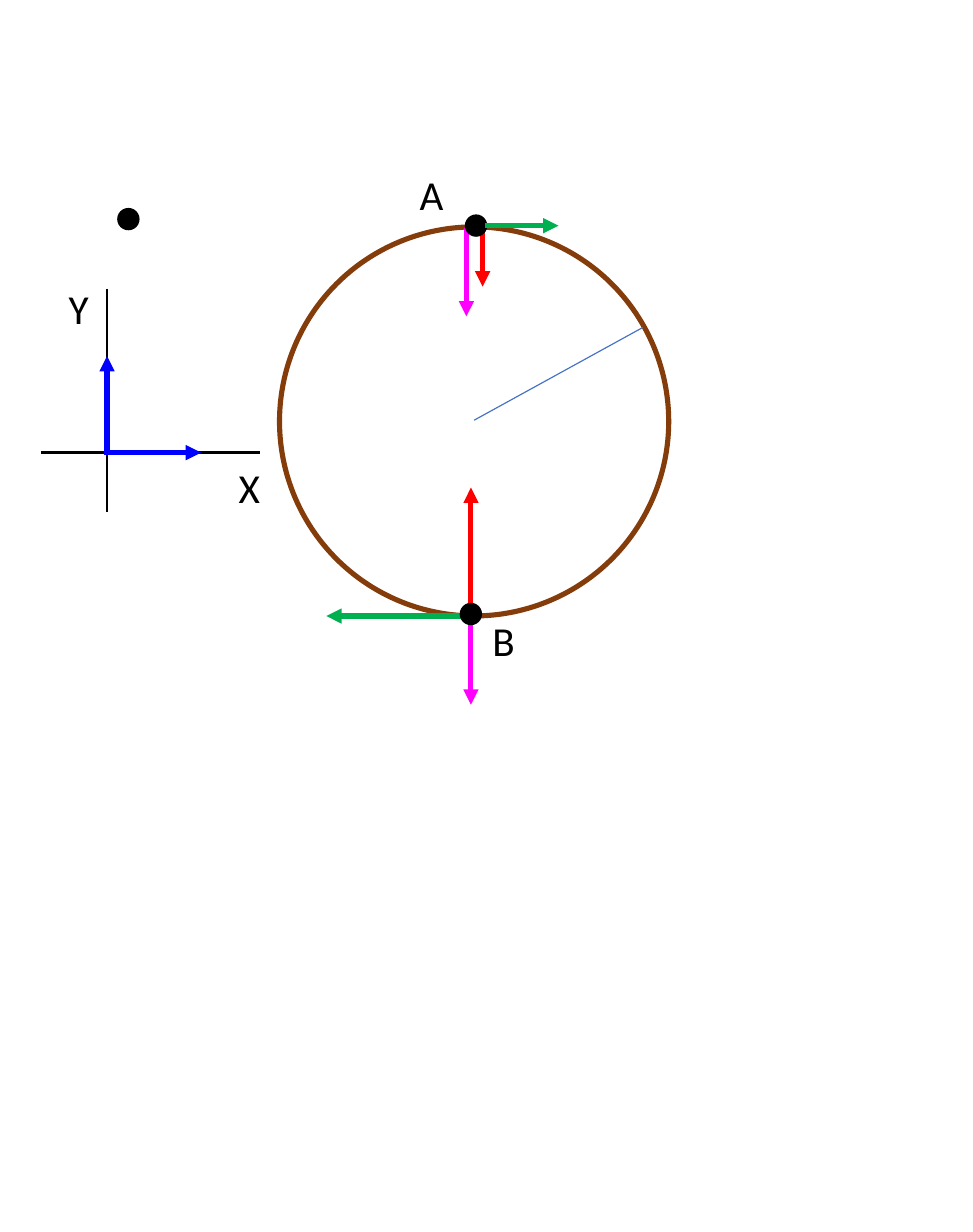
from lxml.etree import SubElement
from pptx import Presentation
from pptx.dml.color import RGBColor
from pptx.enum.shapes import MSO_CONNECTOR as Connector, MSO_SHAPE as Shape
from pptx.enum.text import MSO_AUTO_SIZE as AutoSize
from pptx.oxml.ns import qn
from pptx.util import Cm, Pt

BLACK, BROWN, BLUE = "000000", "843C0B", "0000FF"
WEIGHT, NORMAL, VELOCITY, RADIUS = "FF00FF", "FF0000", "00B050", "4472C4"


def color(value):
    return RGBColor.from_string(value)


def write(shape, text, size=18, font="Calibri", fill=BLACK):
    run = shape.text_frame.paragraphs[0].add_run()
    run.text = text
    run.font.size = Pt(size)
    run.font.name = font
    run.font.color.rgb = color(fill)


class Diagram:
    """Draws on one slide; all lengths are in centimetres."""

    thick, thin = 2.25, 1
    dot_size = 0.31

    def __init__(self, slide):
        self.slide = slide
        self.shapes = slide.shapes

    def start_group(self):
        self.shapes = self.slide.shapes.add_group_shape().shapes

    def end_group(self):
        self.shapes = self.slide.shapes

    def circle(self, center, diameter, line, width, fill=None):
        left, top = (value - diameter / 2 for value in center)
        shape = self.shapes.add_shape(
            Shape.OVAL, Cm(left), Cm(top), Cm(diameter), Cm(diameter))
        shape.shadow.inherit = False
        if fill:
            shape.fill.solid()
            shape.fill.fore_color.rgb = color(fill)
        else:
            shape.fill.background()
        shape.line.color.rgb = color(line)
        shape.line.width = Pt(width)

    def dot(self, center):
        self.circle(center, self.dot_size, BLACK, self.thin, fill=BLACK)

    def line(self, start, end, line, width=thin):
        connector = self.shapes.add_connector(
            Connector.STRAIGHT, *(Cm(value) for value in (*start, *end)))
        connector.line.color.rgb = color(line)
        connector.line.width = Pt(width)
        SubElement(connector._element.spPr, qn("a:effectLst"))
        return connector

    def arrow(self, start, end, line):
        connector = self.line(start, end, line, self.thick)
        outline = connector.line._get_or_add_ln()
        SubElement(outline, qn("a:tailEnd"), type="triangle")

    def label(self, text, left, top, width):
        box = self.shapes.add_textbox(Cm(left), Cm(top), Cm(width), Cm(1.02))
        box.text_frame.word_wrap = False
        box.text_frame.auto_size = AutoSize.SHAPE_TO_FIT_TEXT
        write(box, text)


def draw_axes(diagram):
    x, y = origin = 1.65, 6.98
    diagram.start_group()
    diagram.line((x, 4.45), (x, 7.9), BLACK)
    diagram.line((0.63, y), (4.01, y), BLACK)
    diagram.label("X", 3.43, 7.01, 0.84)
    diagram.label("Y", 0.81, 4.24, 0.81)
    diagram.arrow((1.6, y), (3.1, y), BLUE)
    diagram.arrow(origin, (x, 5.49), BLUE)
    diagram.end_group()


def main():
    presentation = Presentation()
    presentation.slide_width, presentation.slide_height = Cm(15), Cm(19)
    slide = presentation.slides.add_slide(presentation.slide_layouts[6])
    diagram = Diagram(slide)

    diagram.circle((7.31, 6.5), 6, BROWN, diagram.thick)
    diagram.dot((1.98, 3.38))

    diagram.arrow((7.26, 9.5), (7.26, 10.87), WEIGHT)
    diagram.arrow((7.19, 3.51), (7.19, 4.88), WEIGHT)
    diagram.arrow((7.44, 3.53), (7.44, 4.42), NORMAL)
    diagram.arrow((7.26, 9.52), (7.26, 7.52), NORMAL)
    draw_axes(diagram)

    diagram.dot((7.34, 3.48))
    diagram.arrow((7.47, 3.48), (8.61, 3.48), VELOCITY)
    diagram.arrow((7.29, 9.5), (5.03, 9.5), VELOCITY)
    diagram.dot((7.26, 9.47))
    diagram.label("A", 6.22, 2.49, 0.89)
    diagram.label("B", 7.34, 9.37, 0.86)
    diagram.line((7.31, 6.48), (9.91, 5.05), RADIUS, 0.5)

    presentation.save("out.pptx")


if __name__ == "__main__":
    main()
